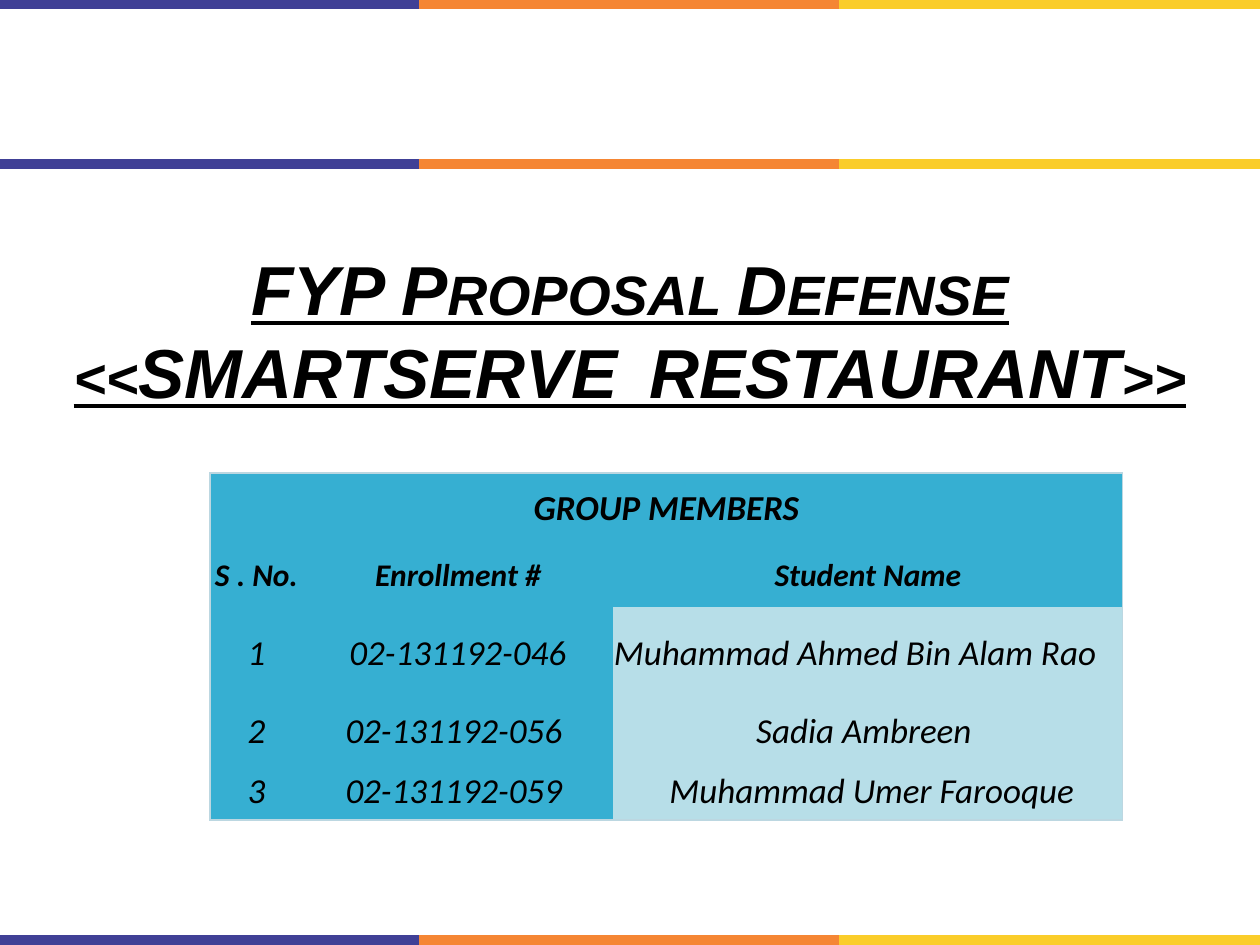
from dataclasses import dataclass

from lxml import etree
from pptx import Presentation
from pptx.dml.color import RGBColor
from pptx.enum import shapes, text
from pptx.oxml import ns
from pptx.util import Inches, Pt

PX_PER_INCH = 126
BLACK = RGBColor(0x00, 0x00, 0x00)
INDIGO = RGBColor(0x40, 0x40, 0x96)
ORANGE = RGBColor(0xF5, 0x86, 0x34)
YELLOW = RGBColor(0xFA, 0xCD, 0x2A)
TEAL = RGBColor(0x36, 0xAF, 0xD2)
PALE_BLUE = RGBColor(0xB7, 0xDE, 0xE8)
BORDER = RGBColor(0xBC, 0xD7, 0xE1)


@dataclass(frozen=True)
class Member:
    number: str
    enrollment: str
    name: str
    align: text.PP_ALIGN = text.PP_ALIGN.CENTER


STRIPE_EDGES = (0, 419, 839, 1260)
STRIPE_COLORS = (INDIGO, ORANGE, YELLOW)
STRIPE_TOPS = (4, 940, 164)
COLUMN_WIDTHS = (93, 310, 510)
ROW_HEIGHTS = (70, 64, 92, 64, 57)
HEADINGS = ("S . No.", "Enrollment #", "Student Name")
MEMBERS = (
    Member("1", "02-131192-046", "Muhammad Ahmed Bin Alam Rao", text.PP_ALIGN.LEFT),
    Member("2", "02-131192-056 ", "Sadia Ambreen "),
    Member("3", "02-131192-059 ", " Muhammad Umer Farooque"),
)


def px(value: int) -> int:
    return Inches(value / PX_PER_INCH)


def write(frame, content: str, *, size: float, font: str = "Calibri",
          bold: bool = False, underline: bool = False, small_caps: bool = False,
          align=text.PP_ALIGN.CENTER) -> None:
    """Fill the first paragraph; a newline becomes a line break."""
    paragraph = frame.paragraphs[0]
    paragraph.alignment = align
    for index, line in enumerate(content.split("\n")):
        if index:
            paragraph.add_line_break()
        run = paragraph.add_run()
        run.text = line
        run.font.name = font
        run.font.size = Pt(size)
        run.font.bold = bold
        run.font.italic = True
        run.font.color.rgb = BLACK
        if underline:
            run.font.underline = True
        if small_caps:
            run.font._element.set("cap", "small")


def draw_stripe(slide, y: int) -> None:
    for left, right, color in zip(STRIPE_EDGES, STRIPE_EDGES[1:], STRIPE_COLORS):
        line = slide.shapes.add_connector(
            shapes.MSO_CONNECTOR.STRAIGHT, px(left), px(y), px(right), px(y))
        line.line.color.rgb = color
        line.line.width = Pt(6)
        etree.SubElement(line._element.spPr, ns.qn("a:effectLst"))


def set_borders(cell, visible: dict[str, bool]) -> None:
    properties = cell._tc.get_or_add_tcPr()
    for side, shown in visible.items():
        line = etree.SubElement(properties, ns.qn(f"a:ln{side}"), w=str(Pt(0.75)))
        if shown:
            fill = etree.SubElement(line, ns.qn("a:solidFill"))
            etree.SubElement(fill, ns.qn("a:srgbClr"), val=str(BORDER))
        else:
            etree.SubElement(line, ns.qn("a:noFill"))


def draw_members(slide) -> None:
    last_row, last_column = len(ROW_HEIGHTS) - 1, len(COLUMN_WIDTHS) - 1
    table = slide.shapes.add_table(
        len(ROW_HEIGHTS), len(COLUMN_WIDTHS), px(210), px(473),
        px(sum(COLUMN_WIDTHS)), px(sum(ROW_HEIGHTS))).table
    for column, width in zip(table.columns, COLUMN_WIDTHS):
        column.width = px(width)
    for row, height in zip(table.rows, ROW_HEIGHTS):
        row.height = px(height)

    # Cell fills, margins and the outer border
    for i in range(last_row + 1):
        for j in range(last_column + 1):
            cell = table.cell(i, j)
            set_borders(cell, {"L": j == 0, "R": j == last_column or i == 0,
                               "T": i == 0, "B": i == last_row})
            cell.fill.solid()
            cell.fill.fore_color.rgb = PALE_BLUE if i > 1 and j == last_column else TEAL
            cell.vertical_anchor = text.MSO_ANCHOR.MIDDLE
            cell.margin_left = cell.margin_right = cell.margin_top = px(1)
            cell.margin_bottom = 0

    # Heading rows
    table.cell(0, 0).merge(table.cell(0, last_column))
    write(table.cell(0, 0).text_frame, "GROUP MEMBERS", size=20, bold=True)
    for j, heading in enumerate(HEADINGS):
        write(table.cell(1, j).text_frame, heading, size=18, bold=True)

    # One row for each member
    for i, member in enumerate(MEMBERS, start=2):
        write(table.cell(i, 0).text_frame, member.number, size=20)
        write(table.cell(i, 1).text_frame, member.enrollment, size=20)
        write(table.cell(i, 2).text_frame, member.name, size=20, align=member.align)


def draw_title(slide) -> None:
    frame = slide.shapes.add_textbox(px(0), px(228), px(1260), px(203)).text_frame
    frame.word_wrap = True
    frame.vertical_anchor = text.MSO_ANCHOR.MIDDLE
    write(frame, "FYP Proposal Defense\n<<SMARTSERVE  RESTAURANT>>", size=39.6,
          font="Arial", bold=True, underline=True, small_caps=True)


def main() -> None:
    presentation = Presentation()
    presentation.slide_width = px(1260)
    presentation.slide_height = px(945)
    slide = presentation.slides.add_slide(presentation.slide_layouts[6])
    for y in STRIPE_TOPS:
        draw_stripe(slide, y)
    draw_title(slide)
    draw_members(slide)
    presentation.save("out.pptx")


if __name__ == "__main__":
    main()
